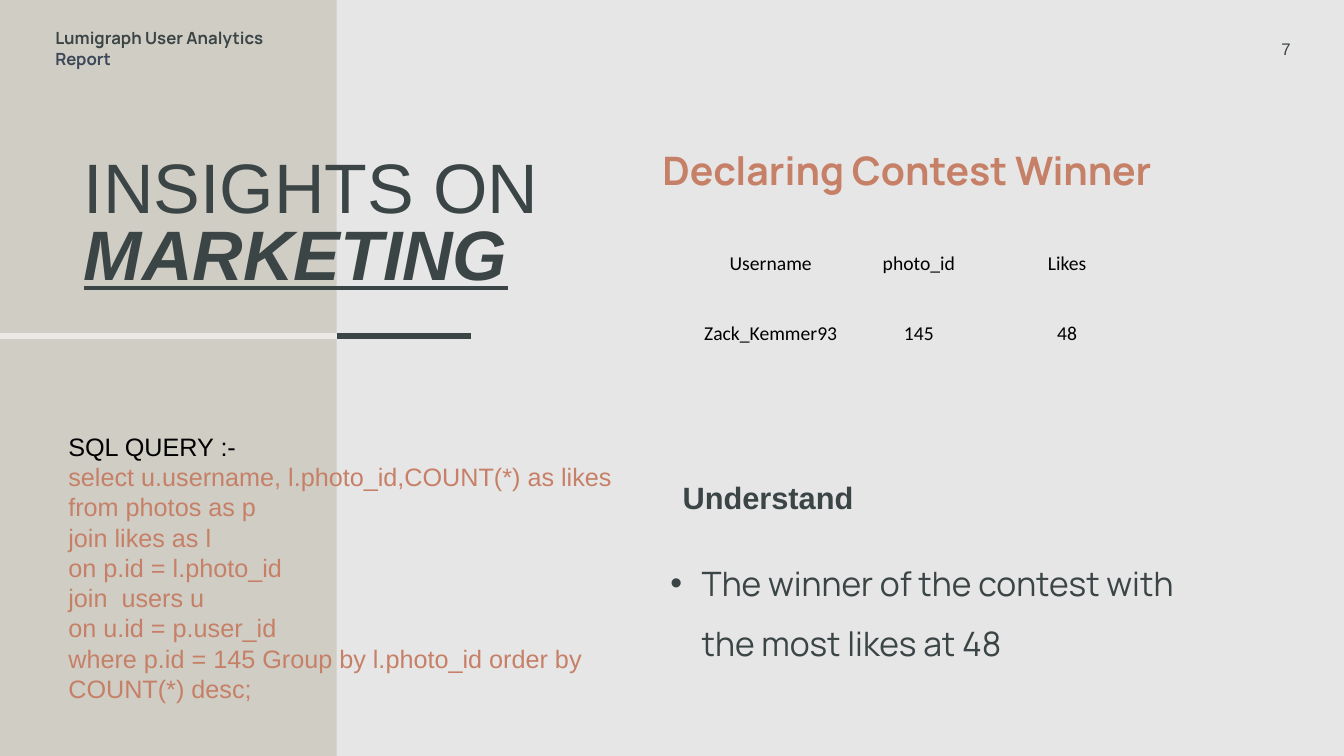
from dataclasses import dataclass

from lxml import etree
from pptx import Presentation
from pptx.dml.color import RGBColor
from pptx.enum.shapes import MSO_CONNECTOR, MSO_SHAPE
from pptx.enum.text import MSO_ANCHOR, MSO_AUTO_SIZE, PP_ALIGN
from pptx.oxml.ns import qn
from pptx.util import Inches, Pt

LEFT, CENTER, RIGHT = PP_ALIGN.LEFT, PP_ALIGN.CENTER, PP_ALIGN.RIGHT
TOP, MIDDLE, BOTTOM = MSO_ANCHOR.TOP, MSO_ANCHOR.MIDDLE, MSO_ANCHOR.BOTTOM
NO_AUTOSIZE = MSO_AUTO_SIZE.NONE
RECTANGLE = MSO_SHAPE.RECTANGLE
STRAIGHT = MSO_CONNECTOR.STRAIGHT
COMPARISON_LAYOUT = 4
PLAIN_TABLE_STYLE = "{2D5ABB26-0587-4C30-8999-92F81FD0307C}"


@dataclass(frozen=True)
class Theme:
    background: str = "E7E6E6"
    panel: str = "D0CDC5"
    pale: str = "EDE9E6"
    dark: str = "3B4546"
    slate: str = "3C4858"
    accent: str = "C68067"
    black: str = "000000"
    title: int = 50
    heading: int = 28
    bullet: int = 24
    subheading: int = 22
    query: int = 18
    cell: int = 14
    label: int = 12
    sans: str = "Arial"
    display: str = "Manrope"
    table: str = "Calibri"


THEME = Theme()


@dataclass(frozen=True)
class Style:
    size: int
    font: str
    color: str
    bold: bool = False
    italic: bool = False
    underline: bool = False


@dataclass(frozen=True)
class Run:
    text: str
    style: Style


@dataclass(frozen=True)
class Block:
    box: tuple[float, float, float, float]
    paragraphs: list[list[Run]]
    spacing: float = 1.0
    align: PP_ALIGN = LEFT
    anchor: MSO_ANCHOR = TOP


@dataclass(frozen=True)
class Rule:
    start: float
    end: float
    color: str


def rgb(color: str) -> RGBColor:
    return RGBColor.from_string(color)


def add_run(p, run: Run) -> None:
    r = p.add_run()
    r.text = run.text
    font, style = r.font, run.style
    font.size, font.name = Pt(style.size), style.font
    font.color.rgb = rgb(style.color)
    font.bold, font.italic = style.bold, style.italic
    font.underline = style.underline


def fill_text(sp, block: Block) -> None:
    sp.left, sp.top, sp.width, sp.height = map(Inches, block.box)
    tf = sp.text_frame
    tf.word_wrap = True
    tf.auto_size = NO_AUTOSIZE
    tf.vertical_anchor = block.anchor
    for i, runs in enumerate(block.paragraphs):
        p = tf.add_paragraph() if i else tf.paragraphs[0]
        p.alignment = block.align
        p.line_spacing = block.spacing
        p.space_before = Pt(0)
        for run in runs:
            add_run(p, run)


def add_rule(slide, rule: Rule, y: float) -> None:
    line = slide.shapes.add_connector(
        STRAIGHT, Inches(rule.start), Inches(y), Inches(rule.end), Inches(y))
    line.line.color.rgb = rgb(rule.color)
    line.line.width = Pt(4.5)
    etree.SubElement(line._element.spPr, qn("a:effectLst"))


def add_results(slide, rows: list[list[str]], style: Style) -> None:
    widths = [0.06] + [1.47] * 4
    row_height, row_count = 0.69, 3
    frame = slide.shapes.add_table(
        row_count, len(widths), Inches(6.67), Inches(2.05),
        Inches(sum(widths)), Inches(row_height * row_count))
    table = frame.table
    table.first_row = table.horz_banding = False
    table._tbl.tblPr.find(qn("a:tableStyleId")).text = PLAIN_TABLE_STYLE
    for column, width in zip(table.columns, widths):
        column.width = Inches(width)
    for row in table.rows:
        row.height = Inches(row_height)
    for cell in table.iter_cells():
        cell.fill.background()
    for i, values in enumerate(rows):
        for j, value in enumerate(values, start=1):
            cell = table.cell(i, j)
            cell.vertical_anchor = BOTTOM
            cell.margin_left = cell.margin_right = cell.margin_top = Inches(0.01)
            cell.margin_bottom = Inches(0)
            p = cell.text_frame.paragraphs[0]
            p.alignment = CENTER
            add_run(p, Run(value, style))


def set_bullet(p, indent: float) -> None:
    pPr = p._p.get_or_add_pPr()
    pPr.set("marL", str(Inches(indent)))
    pPr.set("indent", str(-Inches(indent)))
    etree.SubElement(pPr, qn("a:buFont")).set("typeface", THEME.sans)
    etree.SubElement(pPr, qn("a:buChar")).set("char", "•")


prs = Presentation()
prs.slide_width, prs.slide_height = Inches(13.33), Inches(7.5)
slide = prs.slides.add_slide(prs.slide_layouts[COMPARISON_LAYOUT])
slide.background.fill.solid()
slide.background.fill.fore_color.rgb = rgb(THEME.background)

panel = slide.shapes.add_shape(RECTANGLE, 0, 0, Inches(3.34), prs.slide_height)
panel.shadow.inherit = False
panel.fill.solid()
panel.fill.fore_color.rgb = rgb(THEME.panel)
panel.line.fill.background()
slide.shapes._spTree.insert(2, panel._element)

for rule in (Rule(0, 3.34, THEME.pale), Rule(3.34, 4.67, THEME.dark)):
    add_rule(slide, rule, 3.33)

title, heading, bullets, subheading, spare = slide.placeholders
spare._element.getparent().remove(spare._element)

title_style = Style(THEME.title, THEME.sans, THEME.dark)
fill_text(title, Block((0.73, 1.53, 5.3, 1.84),
                       [[Run("INSIGHTS ON", title_style)]], spacing=0.8))
title_line = title.text_frame.paragraphs[0]
title_line.add_line_break()
add_run(title_line, Run("MARKETING", Style(
    THEME.title, THEME.sans, THEME.dark, bold=True, italic=True, underline=True)))

heading_style = Style(THEME.heading, THEME.display, THEME.accent, bold=True)
fill_text(heading, Block((6.47, 1.17, 5.28, 0.54),
                         [[Run("Declaring Contest Winner", heading_style)]], spacing=1.5))
subheading_style = Style(THEME.subheading, THEME.sans, THEME.dark, bold=True)
fill_text(subheading, Block((6.67, 4.7, 5.28, 0.54),
                            [[Run("Understand", subheading_style)]]))
bullet_style = Style(THEME.bullet, THEME.display, THEME.dark)
fill_text(bullets, Block(
    (6.55, 5.33, 5.2, 1.84),
    [[Run("The winner of the contest\u00a0with the most likes at 48", bullet_style)]],
    spacing=1.5))
set_bullet(bullets.text_frame.paragraphs[0], 0.31)

add_results(slide, [["Username", "photo_id", "Likes"], ["Zack_Kemmer93", "145", "48"]],
            Style(THEME.cell, THEME.table, THEME.black))

query_lines = [
    "select u.username, l.photo_id,COUNT(*) as likes",
    "from photos as p",
    "join likes as l",
    "on p.id = l.photo_id",
    "join  users u",
    "on u.id = p.user_id",
    "where p.id = 145 Group by l.photo_id order by COUNT(*) desc;",
]
query_style = Style(THEME.query, THEME.sans, THEME.accent)
query_heading = Run("SQL QUERY :-", Style(THEME.query, THEME.sans, THEME.black))
report_name = [
    Run("Lumigraph User Analytics ", Style(THEME.label, THEME.display, THEME.dark, bold=True)),
    Run("Report", Style(THEME.label, THEME.display, THEME.slate, bold=True)),
]
page_number = Run("7", Style(THEME.label, THEME.sans, THEME.dark))

for block in (
    Block((0.45, 0.33, 2.47, 0.3), [report_name], anchor=MIDDLE),
    Block((11.07, 0.33, 1.83, 0.3), [[page_number]], align=RIGHT, anchor=MIDDLE),
    Block((0.58, 4.23, 5.6, 2.83),
          [[query_heading]] + [[Run(line, query_style)] for line in query_lines]),
):
    fill_text(slide.shapes.add_textbox(*map(Inches, block.box)), block)

prs.save("out.pptx")
